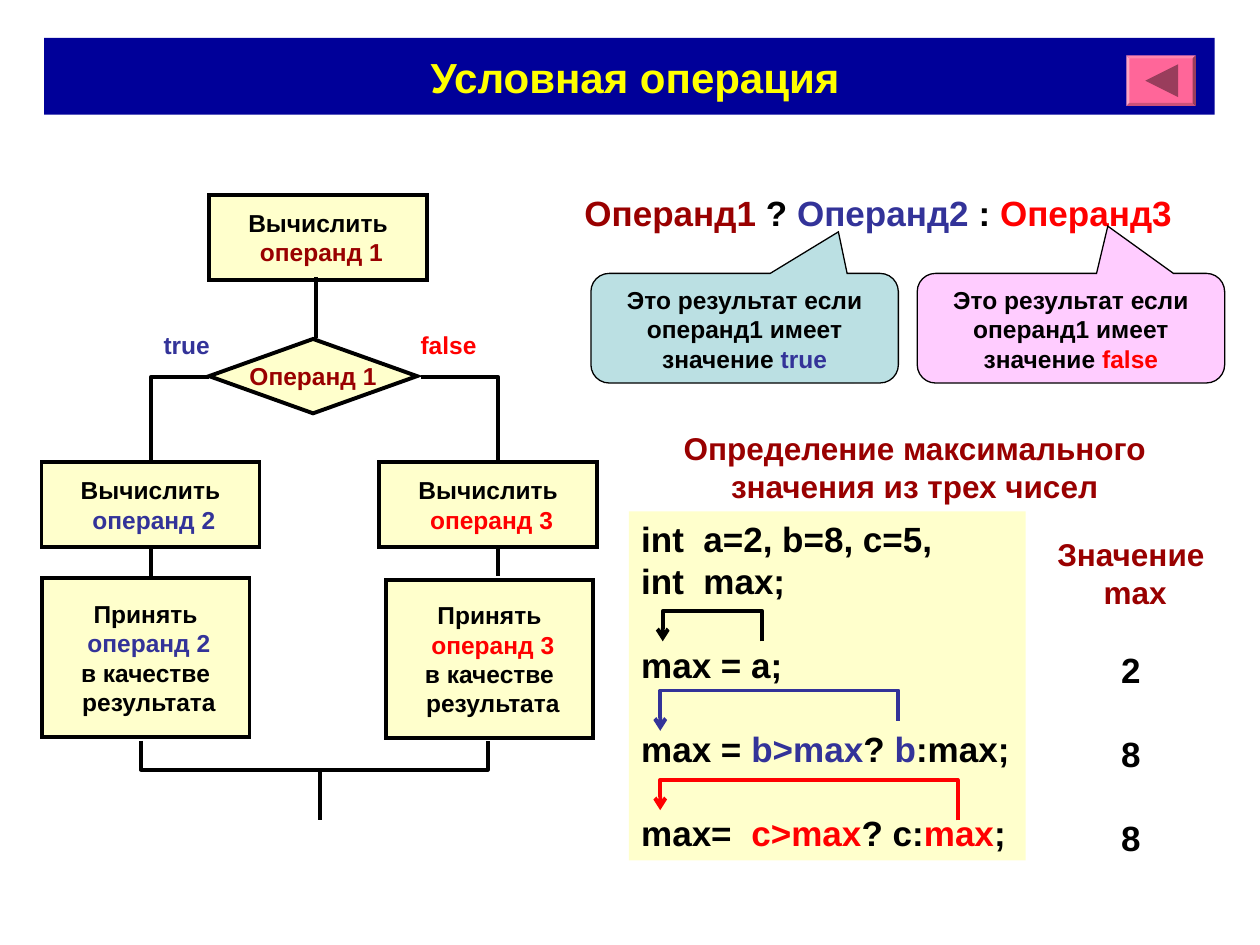
import pptx
import pptx.util
import pptx.dml.color
import pptx.enum.shapes
import pptx.enum.text
import pptx.oxml
import pptx.oxml.ns
from lxml import etree

Inches, Pt = pptx.util.Inches, pptx.util.Pt
RGB = pptx.dml.color.RGBColor
SHAPE = pptx.enum.shapes.MSO_SHAPE
ALIGN = pptx.enum.text.PP_ALIGN
ANCHOR = pptx.enum.text.MSO_ANCHOR
qn = pptx.oxml.ns.qn

BLACK = RGB(0x00, 0x00, 0x00)
NAVY = RGB(0x00, 0x00, 0x99)
YELLOW = RGB(0xFF, 0xFF, 0x00)
CREAM = RGB(0xFF, 0xFF, 0xCC)
MAROON = RGB(0x99, 0x00, 0x00)
BLUE = RGB(0x33, 0x33, 0x99)
RED = RGB(0xFF, 0x00, 0x00)
PINK = RGB(0xFF, 0x66, 0x99)
DARK_PINK = RGB(0x99, 0x3D, 0x5C)
AQUA = RGB(0xBB, 0xE0, 0xE3)
LILAC = RGB(0xFF, 0xCC, 0xFF)

prs = pptx.Presentation()
prs.slide_width, prs.slide_height = Inches(10), Inches(7.5)
s = prs.slides.add_slide(prs.slide_layouts[5])


def write(sp, paragraphs, size, align=ALIGN.CENTER, anchor=ANCHOR.TOP, wrap=True):
    """Fill a shape with paragraphs, each a list of (text, colour) runs."""
    tf = sp.text_frame
    tf.word_wrap, tf.vertical_anchor = wrap, anchor
    for i, runs in enumerate(paragraphs):
        p = tf.add_paragraph() if i else tf.paragraphs[0]
        p.alignment = align
        p.line_spacing = Pt(size * 1.2)
        for text, color in runs:
            r = p.add_run()
            r.text = text
            r.font.name, r.font.size, r.font.bold = "Arial", Pt(size), True
            r.font.color.rgb = color
    return tf


def add_shape(kind, box, fill, line_width=0):
    """Add a filled preset shape, outlined in black if a width is given."""
    sp = s.shapes.add_shape(kind, *[Inches(v) for v in box])
    sp.shadow.inherit = False
    sp.fill.solid()
    sp.fill.fore_color.rgb = fill
    if line_width:
        sp.line.color.rgb, sp.line.width = BLACK, Pt(line_width)
        etree.SubElement(sp.element.spPr.find(qn("a:ln")), qn("a:miter"), lim="800000")
    else:
        sp.line.fill.background()
    return sp


# Title bar with the back button
title = s.shapes.title
title.left, title.top = Inches(0.35), Inches(0.3)
title.width, title.height = Inches(9.29), Inches(0.61)
title.fill.solid()
title.fill.fore_color.rgb = NAVY
write(title, [[(" Условная операция", YELLOW)]], 24, anchor=ANCHOR.MIDDLE)

button = add_shape(SHAPE.BEVEL, (8.94, 0.44, 0.55, 0.4), PINK)
button.adjustments[0] = 0.06
arrow = add_shape(SHAPE.ISOSCELES_TRIANGLE, (9.09, 0.51, 0.26, 0.26), DARK_PINK)
arrow.rotation = 270

# Flowchart blocks
compute, accept = ("Вычислить", BLACK), ("Принять", BLACK)
ending = [[("в качестве", BLACK)], [(" результата", BLACK)]]
second, third = [(" операнд 2", BLUE)], [(" операнд 3", RED)]
blocks = [
    (SHAPE.FLOWCHART_PROCESS, (1.66, 1.55, 1.73, 0.67),
     [[compute], [(" ", BLACK), ("операнд 1", MAROON)]]),
    (SHAPE.FLOWCHART_DECISION, (1.66, 2.69, 1.65, 0.59), [[("Операнд 1", MAROON)]]),
    (SHAPE.FLOWCHART_PROCESS, (0.33, 3.67, 1.73, 0.67), [[compute], second]),
    (SHAPE.FLOWCHART_PROCESS, (0.33, 4.59, 1.65, 1.26), [[accept], second] + ending),
    (SHAPE.FLOWCHART_PROCESS, (3.01, 3.67, 1.73, 0.67), [[compute], third]),
    (SHAPE.FLOWCHART_PROCESS, (3.06, 4.6, 1.65, 1.26), [[accept], third] + ending),
]
for kind, box, paragraphs in blocks:
    write(add_shape(kind, box, CREAM, 2.24), paragraphs, 14, anchor=ANCHOR.MIDDLE, wrap=False)

# Straight flow lines: x, top, bottom
for x, top, bottom in [(2.51, 2.2, 2.68), (1.2, 4.34, 4.57), (3.95, 4.33, 4.57), (2.54, 6.11, 6.51)]:
    line = s.shapes.add_connector(pptx.enum.shapes.MSO_CONNECTOR.STRAIGHT,
                                  Inches(x), Inches(top), Inches(x), Inches(bottom))
    line.line.color.rgb, line.line.width = BLACK, Pt(2.24)
    etree.SubElement(line.element.spPr, qn("a:effectLst"))

# Text boxes on one line
formula = [("Операнд1 ", MAROON), ("? ", BLACK), ("Операнд2 ", BLUE), (": ", BLACK), ("Операнд3", RED)]
labels = [
    ((1.2, 2.57, 0.6, 0.34), [("true", BLUE)], 14),
    ((3.24, 2.57, 0.7, 0.34), [("false", RED)], 14),
    ((4.54, 1.47, 4.9, 0.44), formula, 20),
]
for box, runs, size in labels:
    tb = s.shapes.add_textbox(*[Inches(v) for v in box])
    write(tb, [runs], size, align=ALIGN.LEFT, wrap=False)

# Callouts pointing at the second and third operands
callouts = [
    (4.69, AQUA, (0.305, -0.879), ("true", BLUE)),
    (7.28, LILAC, (0.12, -0.931), ("false", RED)),
]
for left, fill, tip, answer in callouts:
    sp = add_shape(SHAPE.ROUNDED_RECTANGULAR_CALLOUT, (left, 2.17, 2.44, 0.87), fill, 0.74)
    sp.adjustments[0], sp.adjustments[1] = tip
    write(sp, [[("Это результат если операнд1 имеет значение ", BLACK), answer]], 14)

# Example: greatest of three numbers
heading = s.shapes.add_textbox(Inches(5.16), Inches(3.36), Inches(4.2), Inches(0.7))
write(heading, [[("Определение максимального значения из трех чисел", MAROON)]], 18)

code = add_shape(SHAPE.RECTANGLE, (4.99, 4.06, 3.15, 2.77), CREAM)
tf = write(code, [
    [("int  a=2, b=8, c=5,", BLACK)],
    [("int  max;", BLACK)],
    [("max = a;", BLACK)],
    [("max = ", BLACK), ("b>max", BLUE), ("? ", BLACK), ("b", BLUE), (":max;", BLACK)],
    [("max=  ", BLACK), ("c>max", RED), ("? c:", BLACK), ("max", RED), (";", BLACK)],
], 20, align=ALIGN.LEFT)
for p in tf.paragraphs[2:]:
    p.space_before = Pt(24)

values = s.shapes.add_textbox(Inches(8.22), Inches(4.2), Inches(1.51), Inches(2.67))
tf = write(values, [[("Значение", MAROON)], [(" max", MAROON)]] + [[(v, BLACK)] for v in "288"], 18)
for i, p in enumerate(tf.paragraphs[2:]):
    p.space_before = Pt(24 if i else 21.6)
    p.line_spacing = Pt(24)
    p.runs[0].font.size = Pt(20)

# Bent lines: points, colour, arrowhead
bends = [
    ([(1.66, 2.99), (1.2, 2.99), (1.2, 3.67)], BLACK, False),
    ([(3.34, 2.99), (3.95, 2.99), (3.95, 3.67)], BLACK, False),
    ([(1.12, 5.88), (1.12, 6.11), (3.87, 6.11), (3.87, 5.88)], BLACK, False),
    ([(6.05, 5.09), (6.05, 4.85), (5.26, 4.85), (5.26, 5.09)], BLACK, True),
    ([(7.13, 5.72), (7.13, 5.48), (5.24, 5.48), (5.24, 5.8)], BLUE, True),
    ([(7.6, 6.51), (7.6, 6.19), (5.24, 6.19), (5.24, 6.43)], RED, True),
]
for points, color, has_head in bends:
    points = [(Inches(x), Inches(y)) for x, y in points]
    fb = s.shapes.build_freeform(*points[0])
    fb.add_line_segments(points[1:], close=False)
    sp = fb.convert_to_shape()
    sp.shadow.inherit = False
    sp.fill.background()
    sp.line.color.rgb, sp.line.width = color, Pt(2.24)
    if has_head:
        etree.SubElement(sp.element.spPr.find(qn("a:ln")), qn("a:tailEnd"), type="arrow")

prs.save("out.pptx")
